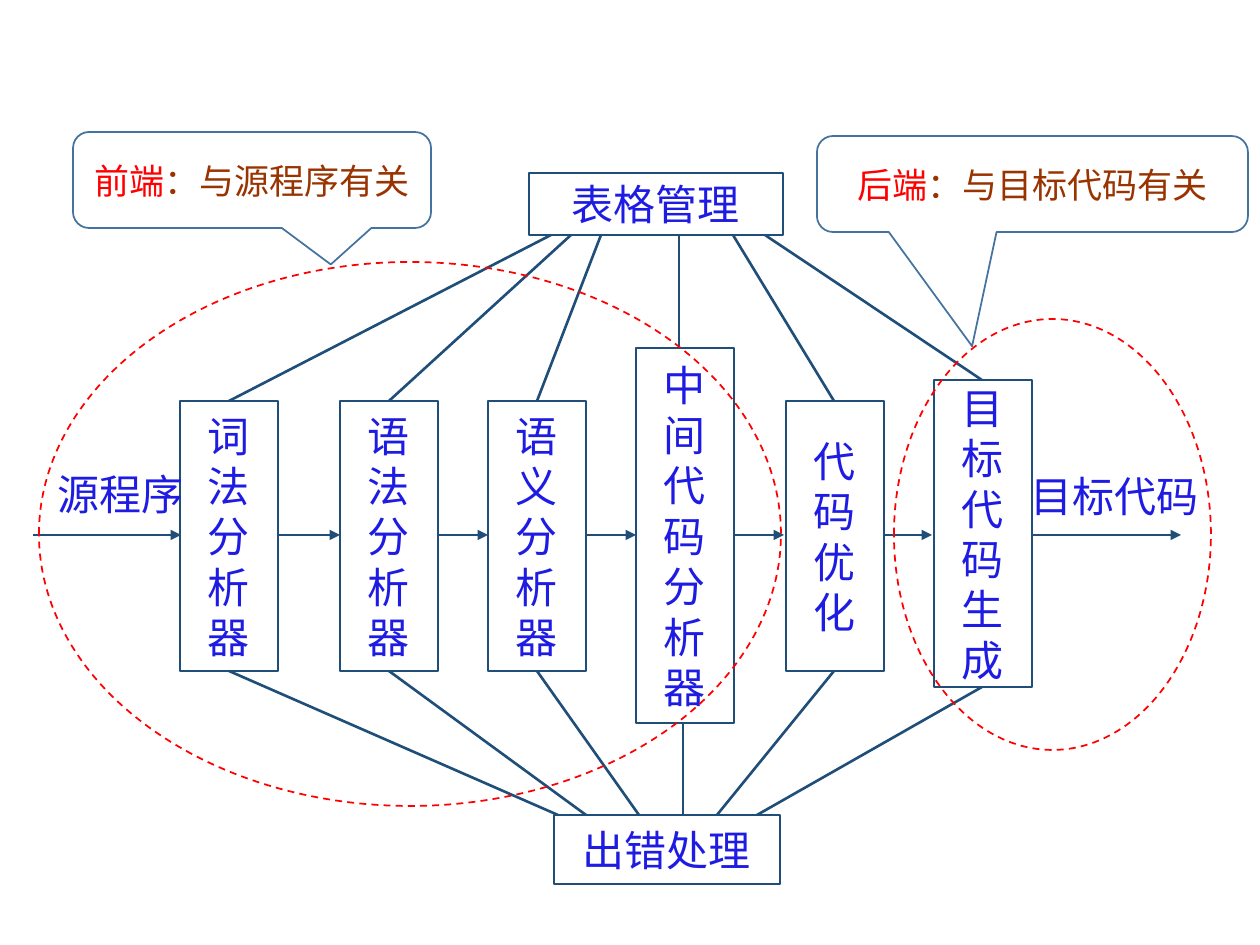
from lxml import etree
from pptx import Presentation
from pptx.dml.color import RGBColor
from pptx.enum.dml import MSO_LINE
from pptx.enum.shapes import MSO_CONNECTOR, MSO_SHAPE
from pptx.enum.text import MSO_ANCHOR, PP_ALIGN
from pptx.oxml.ns import qn
from pptx.util import Emu, Pt

RECTANGLE = MSO_SHAPE.RECTANGLE
ELLIPSE = MSO_SHAPE.OVAL
CALLOUT = MSO_SHAPE.ROUNDED_RECTANGULAR_CALLOUT
STRAIGHT = MSO_CONNECTOR.STRAIGHT
DASH = MSO_LINE.DASH
MIDDLE = MSO_ANCHOR.MIDDLE
CENTER = PP_ALIGN.CENTER

PX = 914400 / 126
FONT = "Noto Sans CJK SC"
COLORS = {
    "box_line": "1F4E79",
    "text": "1E1CE3",
    "region": "FF0000",
    "callout_line": "43739E",
    "callout_text": "993300",
}


def add_box(kind, bounds, line_color, line_width):
    box = slide.shapes.add_shape(kind, *[Emu(round(length * PX)) for length in bounds])
    box.shadow.inherit = False
    box.fill.background()
    box.line.color.rgb = RGBColor.from_string(COLORS[line_color])
    box.line.width = Pt(line_width)
    return box


def write_text(shape, paragraphs, size):
    frame = shape.text_frame
    frame.word_wrap = True
    frame.vertical_anchor = MIDDLE
    frame.text = "\n".join("".join(text for text, color in spans) for spans in paragraphs)
    for para, spans in zip(frame.paragraphs, paragraphs):
        para.alignment = CENTER
        para.text = ""
        for text, color in spans:
            span = para.add_run()
            span.text = text
            span.font.size = Pt(size)
            span.font.name = FONT
            span.font.color.rgb = RGBColor.from_string(COLORS[color])
            east_asian = etree.SubElement(span.font._element, qn("a:ea"))
            east_asian.set("typeface", FONT)


deck = Presentation()
deck.slide_width = Emu(round(1260 * PX))
deck.slide_height = Emu(round(945 * PX))
slide = deck.slides.add_slide(deck.slide_layouts[6])

boxes = [
    ("词\n法\n分\n析\n器", (180, 401, 98, 270)),
    ("语法\n分\n析\n器", (340, 401, 98, 270)),
    ("语义\n分\n析\n器", (488, 401, 98, 270)),
    ("中间代码\n分\n析\n器", (636, 348, 98, 375)),
    ("代码优化", (786, 401, 98, 270)),
    ("目标代码生成", (934, 380, 98, 307)),
    ("出错处理", (554, 815, 226, 69)),
    ("表格管理", (529, 173, 254, 62)),
]
for label, bounds in boxes:
    box = add_box(RECTANGLE, bounds, "box_line", 1.5)
    write_text(box, [[(text, "text")] for text in label.split("\n")], 24)

for label, bounds in [("源程序", (38, 454, 166, 79)), ("目标代码", (1008, 456, 214, 79))]:
    box = slide.shapes.add_textbox(*[Emu(round(length * PX)) for length in bounds])
    write_text(box, [[(label, "text")]], 24)

arrow_spans = [
    (33, 181), (278, 340), (438, 488), (587, 636), (735, 784), (883, 932), (1032, 1181),
]
table_links = [(229, 551), (389, 571), (537, 601), (679, 679), (834, 733), (982, 765)]
error_links = [(229, 558), (389, 586), (537, 639), (683, 683), (834, 717), (982, 757)]
lines = [(start, 535, end, 535, True) for start, end in arrow_spans]
for (label, bounds), table_link, error_link in zip(boxes, table_links, error_links):
    left, top, width, height = bounds
    lines.append((table_link[0], top, table_link[1], 235, False))
    lines.append((error_link[0], top + height, error_link[1], 815, False))

for *ends, has_arrow in lines:
    line = slide.shapes.add_connector(STRAIGHT, *[Emu(round(end * PX)) for end in ends])
    line.line.color.rgb = RGBColor.from_string(COLORS["box_line"])
    line.line.width = Pt(1.5)
    if has_arrow:
        etree.SubElement(line.line._get_or_add_ln(), qn("a:tailEnd")).set("type", "triangle")
    etree.SubElement(line._element.spPr, qn("a:effectLst"))

regions = [
    ((39, 262, 742, 544), (73, 132, 358, 96), (0.22, 0.88), "前端", "：与源程序有关"),
    ((894, 319, 317, 431), (817, 136, 431, 96), (-0.14, 1.69), "后端", "：与目标代码有关"),
]
for region_bounds, callout_bounds, pointer, name, scope in regions:
    region = add_box(ELLIPSE, region_bounds, "region", 1)
    region.line.dash_style = DASH
    callout = add_box(CALLOUT, callout_bounds, "callout_line", 1)
    callout.adjustments[0], callout.adjustments[1] = pointer
    write_text(callout, [[(name, "region"), (scope, "callout_text")]], 20)

deck.save("out.pptx")
